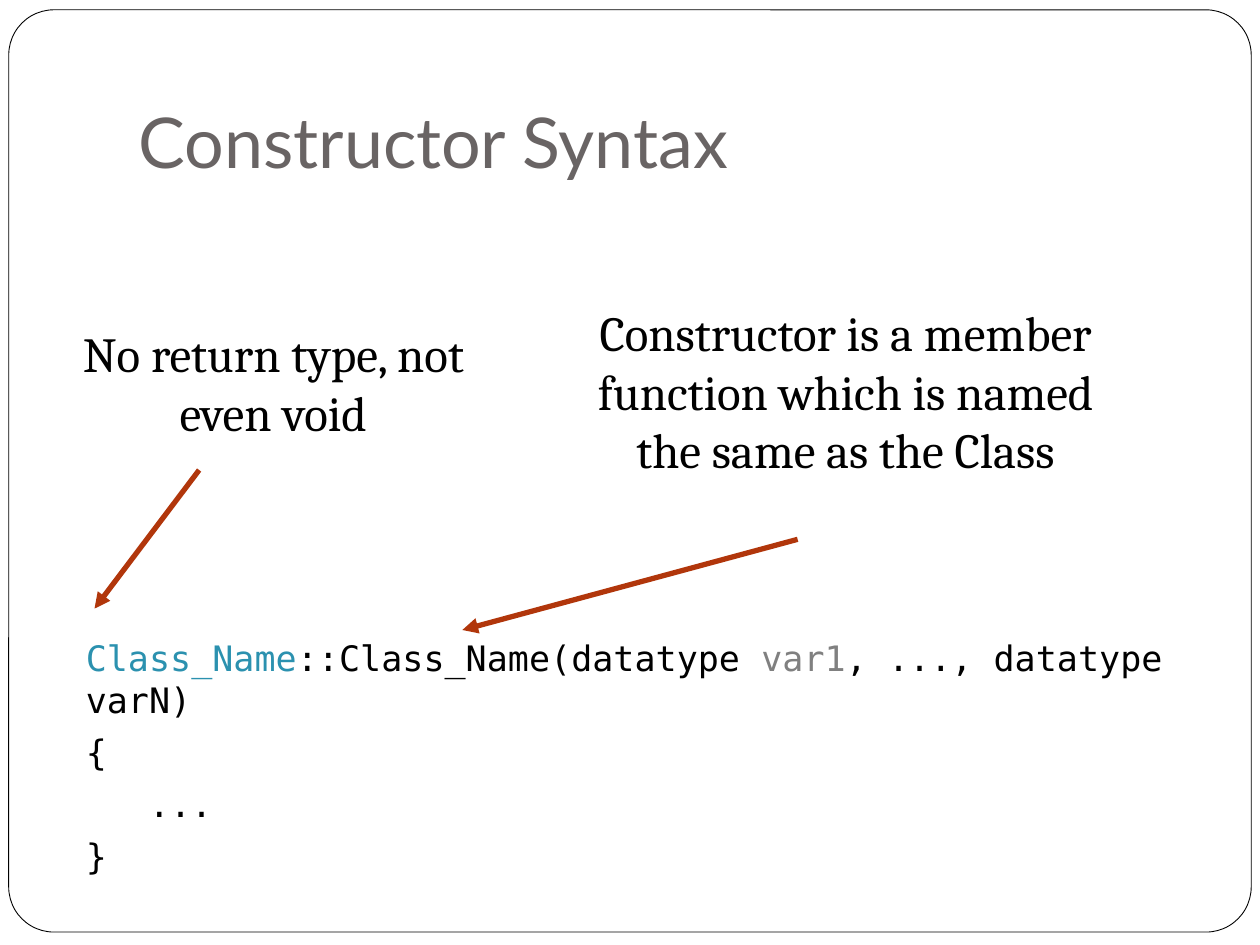
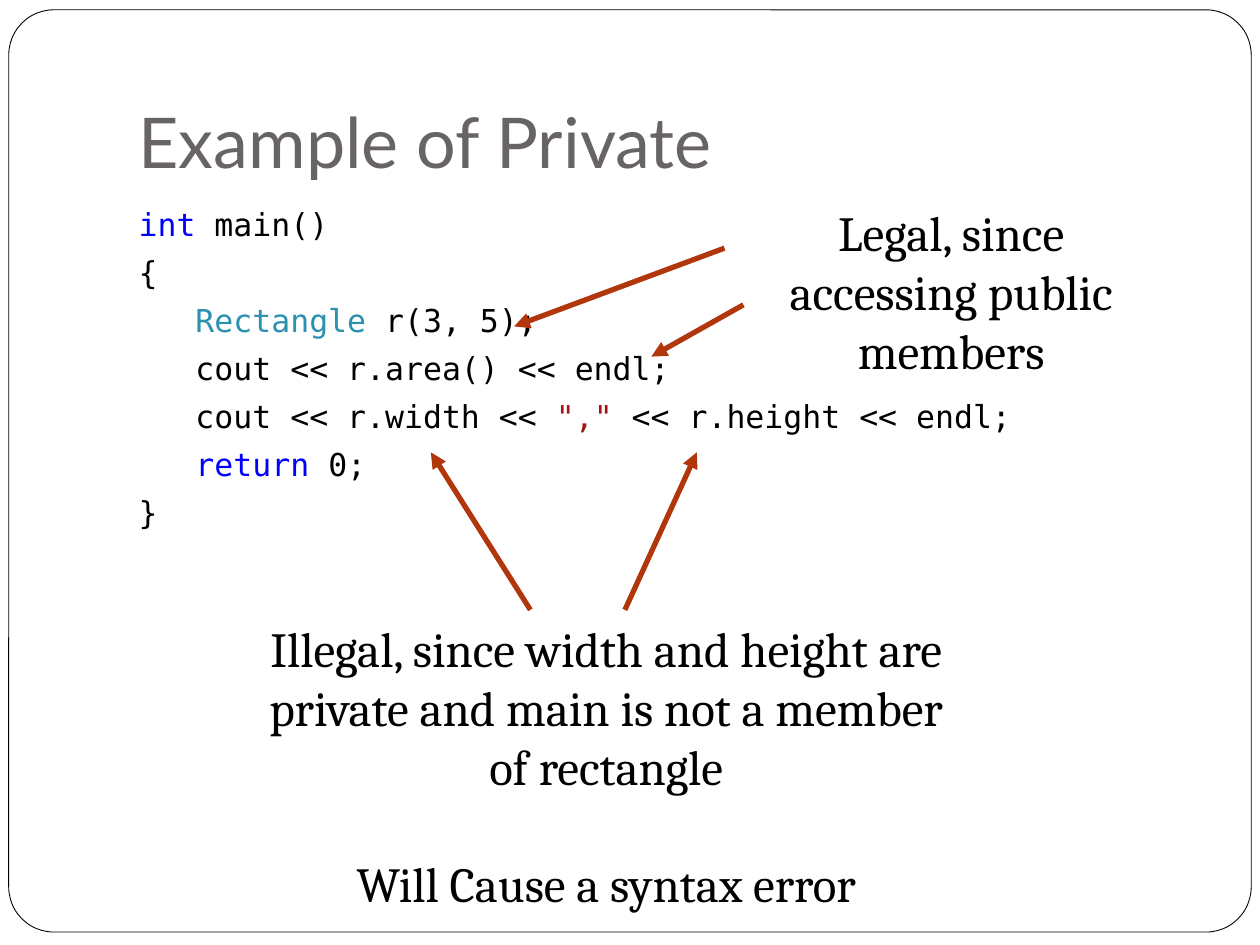
from lxml import etree
from pptx import Presentation
from pptx import util as u
from pptx.dml.color import RGBColor
from pptx.enum import shapes, text
from pptx.oxml.ns import qn

WHITE = RGBColor(0xFF, 0xFF, 0xFF)
BLACK = RGBColor(0, 0, 0)
GRAY = RGBColor(0x69, 0x64, 0x64)
RUST = RGBColor(0xB1, 0x36, 0x0B)
TEAL = RGBColor(0x2B, 0x91, 0xAF)
BLUE = RGBColor(0, 0, 0xFF)
RED = RGBColor(0xA3, 0x15, 0x15)
MUTED = RGBColor(0x80, 0x80, 0x80)

TITLE = {"name": "Lato", "size": u.Pt(40)}
NOTE = {"name": "Cambria", "size": u.Pt(28)}
MONO = "DejaVu Sans Mono"
CHAR = 0.602  # width of one code character, in ems
TAB = 3       # characters in one code indent
NOTE_GAP = 33.5

# Code line: (indent level, [(words, colour), ...])
# Note: (box, paragraphs); arrow: (x1, y1, x2, y2); lengths in points
SLIDES = [
    {
        "title": "Constructor Syntax",
        "box": (41.8, 360, 653.8, 144),
        "size": 20,
        "code": [
            (0, [("Class_Name", TEAL), ("::Class_Name(datatype ", BLACK),
                 ("var1", MUTED), (", ..., datatype varN)", BLACK)]),
            (0, [("{", BLACK)]),
            (1, [("...", BLACK)]),
            (0, [("}", BLACK)]),
        ],
        "notes": [
            ((324, 169.2, 318.2, 108.7),
             ["Constructor is a member function which is named "
              "the same as the Class"]),
            ((30.2, 181.4, 252, 74.9), ["No return type, not even void"]),
        ],
        "arrows": [(455.8, 308.2, 264.2, 360), (113.8, 268.6, 54, 347.8)],
    },
    {
        "title": "Example of Private",
        "box": (72, 113.8, 612, 396),
        "size": 18,
        "code": [
            (0, [("int", BLUE), (" main()", BLACK)]),
            (0, [("{", BLACK)]),
            (1, [("Rectangle", TEAL), (" r(3, 5);", BLACK)]),
            (1, [("cout << r.area() << endl;", BLACK)]),
            (1, [("cout << r.width << ", BLACK), ('","', RED),
                 (" << r.height << endl;", BLACK)]),
            (1, [("return", BLUE), (" 0;", BLACK)]),
            (0, [("}", BLACK)]),
        ],
        "notes": [
            ((144, 349.9, 404.6, 177.1),
             ["Illegal, since width and height are private and main "
              "is not a member of rectangle",
              "Will Cause a syntax error"]),
            ((426.2, 112.3, 234.7, 74.9),
             ["Legal, since accessing public members"]),
        ],
        "arrows": [
            (303.1, 348.5, 246.2, 258.5), (414, 141.8, 293.8, 186.5),
            (424.8, 174.2, 372.2, 203.8), (357.1, 348.5, 398.2, 258.5),
        ],
    },
]


def put(item, values):
    """Set each attribute named in values."""
    for name, value in values.items():
        setattr(item, name, value)


def place(shape, box):
    """Move and size a shape."""
    put(shape, dict(zip(("left", "top", "width", "height"), map(u.Pt, box))))


def write(para, words, font, color):
    """Add one formatted run to a paragraph."""
    run = para.add_run()
    run.text = words
    put(run.font, font)
    run.font.color.rgb = color


def lines(frame, items):
    """Pair each item with a paragraph of the frame."""
    for i, item in enumerate(items):
        yield (frame.add_paragraph() if i else frame.paragraphs[0]), item


def add_frame(slide, master):
    """Draw the rounded page frame and move it to the back of the master."""
    frame = slide.shapes.add_shape(
        shapes.MSO_SHAPE.ROUNDED_RECTANGLE, *map(u.Pt, (5, 5.6, 710, 527)))
    frame.adjustments[0] = 0.049
    frame.shadow.inherit = False
    frame.fill.solid()
    frame.fill.fore_color.rgb = WHITE
    frame.line.color.rgb = BLACK
    frame.line.width = u.Pt(0.5)
    master.shapes.element.insert(2, frame.element)


def add_title(slide, words):
    """Fill the title placeholder."""
    title = slide.shapes.title
    place(title, (72, 21.6, 612, 90))
    put(title.text_frame, {
        "vertical_anchor": text.MSO_ANCHOR.BOTTOM,
        "margin_bottom": u.Pt(7.2), "auto_size": text.MSO_AUTO_SIZE.NONE})
    para = title.text_frame.paragraphs[0]
    para.alignment = text.PP_ALIGN.LEFT
    write(para, words, TITLE, GRAY)


def add_code(slide, box, size, code):
    """Fill the body placeholder with coloured code."""
    body = slide.placeholders[1]
    place(body, box)
    body.text_frame.auto_size = text.MSO_AUTO_SIZE.NONE
    font = {"name": MONO, "size": u.Pt(size)}
    for para, (_, runs) in lines(body.text_frame, code):
        para.space_before = u.Pt(5.8)
        for words, color in runs:
            write(para, words, font, color)
    for node, (level, _) in zip(body.element.iter(qn("a:p")), code):
        props = node.get_or_add_pPr()
        props.set("marL", str(int(u.Pt(level * TAB * CHAR * size))))
        props.set("indent", "0")
        etree.SubElement(props, qn("a:buNone"))


def add_note(slide, box, paras):
    """Add a centred remark."""
    note = slide.shapes.add_textbox(*map(u.Pt, box))
    put(note.text_frame, {
        "word_wrap": True, "auto_size": text.MSO_AUTO_SIZE.SHAPE_TO_FIT_TEXT})
    for i, (para, words) in enumerate(lines(note.text_frame, paras)):
        put(para, {"alignment": text.PP_ALIGN.CENTER,
                   "space_before": u.Pt(NOTE_GAP if i else 0)})
        write(para, words, NOTE, BLACK)


def add_arrow(slide, ends):
    """Add a rust arrow that points at its second end."""
    arrow = slide.shapes.add_connector(
        shapes.MSO_CONNECTOR.STRAIGHT, *map(u.Pt, ends))
    arrow.line.color.rgb = RUST
    arrow.line.width = u.Pt(3)
    props = arrow.element.spPr
    etree.SubElement(props.find(qn("a:ln")), qn("a:tailEnd"), type="triangle")
    etree.SubElement(props, qn("a:effectLst"))


def main():
    """Build and save the deck."""
    deck = Presentation()
    put(deck, {"slide_width": u.Pt(720), "slide_height": u.Pt(540)})
    for i, data in enumerate(SLIDES):
        slide = deck.slides.add_slide(deck.slide_layouts[1])
        if i == 0:
            add_frame(slide, deck.slide_master)
        add_title(slide, data["title"])
        add_code(slide, data["box"], data["size"], data["code"])
        for box, paras in data["notes"]:
            add_note(slide, box, paras)
        for ends in data["arrows"]:
            add_arrow(slide, ends)
    deck.save("out.pptx")


main()
